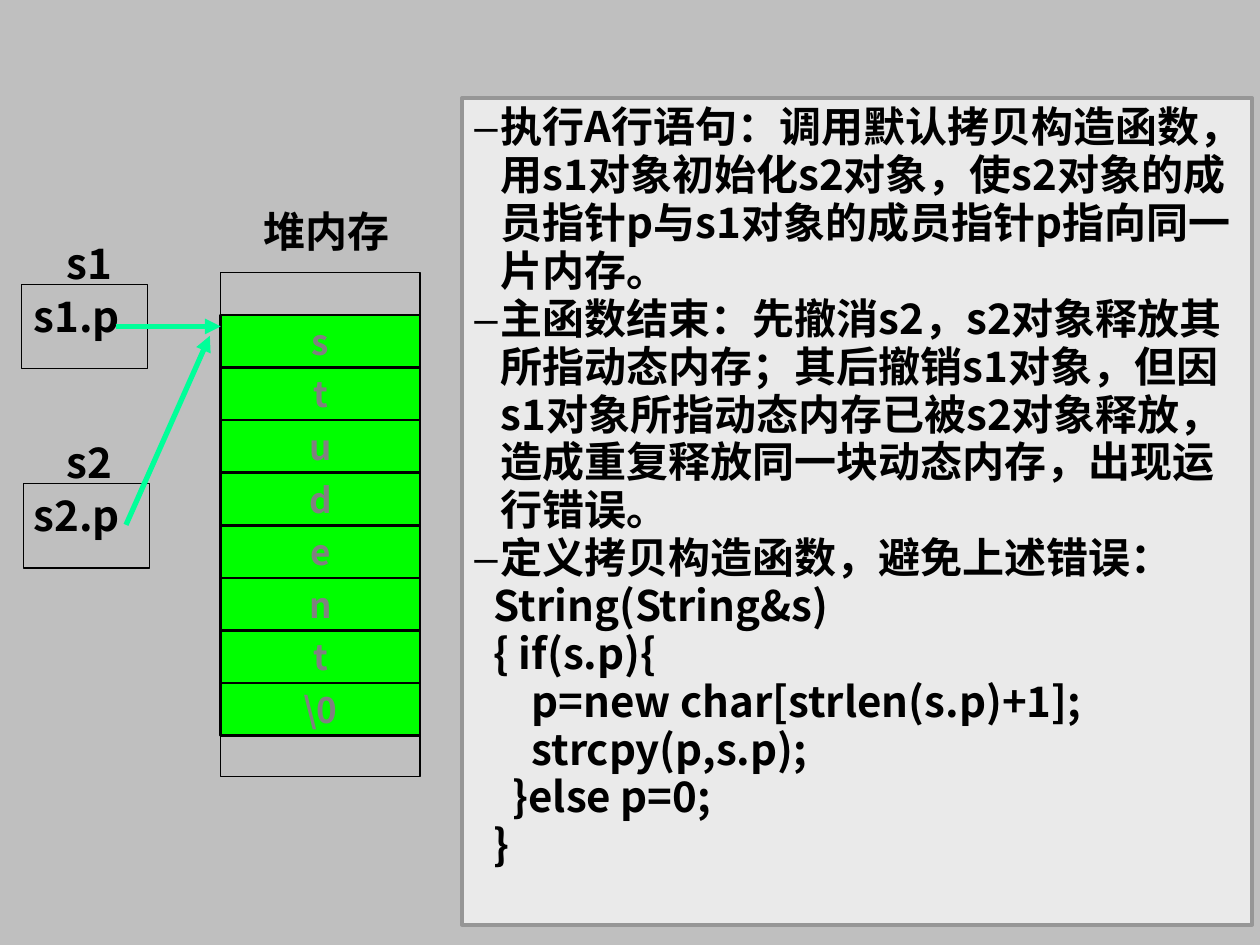
from lxml import etree
from pptx import Presentation
from pptx.dml.color import RGBColor
from pptx.enum.shapes import MSO_CONNECTOR, MSO_SHAPE
from pptx.enum.text import MSO_ANCHOR, MSO_AUTO_SIZE, PP_ALIGN
from pptx.oxml.ns import qn
from pptx.util import Cm, Pt

RECTANGLE = MSO_SHAPE.RECTANGLE
STRAIGHT = MSO_CONNECTOR.STRAIGHT
LEFT, CENTER = PP_ALIGN.LEFT, PP_ALIGN.CENTER
TOP, MIDDLE = MSO_ANCHOR.TOP, MSO_ANCHOR.MIDDLE
NO_AUTOFIT = MSO_AUTO_SIZE.NONE

FONT = "Noto Sans CJK SC"
COLORS = {
    "background": "BFBFBF",
    "panel": "EAEAEA",
    "panel_line": "969696",
    "cell": "00FF00",
    "cell_text": "808080",
    "arrow": "00FF99",
    "black": "000000",
}

HEAP_LEFT, HEAP_WIDTH = 4.45, 4.02
CELL_TOP, CELL_HEIGHT = 6.35, 1.06
HEAP_CELLS = ["s", "t", "u", "d", "e", "n", "t", "\\0"]

EXPLANATIONS = [
    "执行A行语句：调用默认拷贝构造函数，用s1对象初始化s2对象，使s2对象的成员指针p与s1对象的成员指针p指向同一片内存。",
    "主函数结束：先撤消s2，s2对象释放其所指动态内存；其后撤销s1对象，但因s1对象所指动态内存已被s2对象释放，造成重复释放同一块动态内存，出现运行错误。",
    "定义拷贝构造函数，避免上述错误：",
]
CODE_LINES = [
    "  String(String&s)",
    "  { if(s.p){",
    "      p=new char[strlen(s.p)+1];",
    "      strcpy(p,s.p);",
    "    }else p=0;",
    "  }",
]


def color(name):
    return RGBColor.from_string(COLORS[name])


def write(paragraph, text, size=24, text_color="black", align=LEFT):
    paragraph.alignment = align
    run = paragraph.add_run()
    run.text = text
    run.font.size = Pt(size)
    run.font.bold = True
    run.font.color.rgb = color(text_color)
    run.font.name = FONT
    east_asian = etree.SubElement(run._r.get_or_add_rPr(), qn("a:ea"))
    east_asian.set("typeface", FONT)


def set_bullet(paragraph, character=None):
    """Give the paragraph a hanging indent, with a bullet or without one."""
    properties = paragraph._p.get_or_add_pPr()
    indent = Cm(0.53)
    properties.set("marL", str(indent))
    properties.set("indent", str(-indent))
    if character:
        bullet_color = etree.SubElement(properties, qn("a:buClr"))
        etree.SubElement(bullet_color, qn("a:srgbClr")).set("val", COLORS["black"])
        etree.SubElement(properties, qn("a:buChar")).set("char", character)
    else:
        etree.SubElement(properties, qn("a:buNone"))


def add_label(slide, text, left, top, width, align=LEFT):
    box = slide.shapes.add_textbox(Cm(left), Cm(top), Cm(width), Cm(1.27))
    box.text_frame.word_wrap = True
    write(box.text_frame.paragraphs[0], text, align=align)


def add_rectangle(slide, left, top, width, height, fill=None, line_width=0.75):
    shape = slide.shapes.add_shape(RECTANGLE, Cm(left), Cm(top), Cm(width), Cm(height))
    shape.shadow.inherit = False
    if fill:
        shape.fill.solid()
        shape.fill.fore_color.rgb = color(fill)
    else:
        shape.fill.background()
    shape.line.color.rgb = color("black")
    shape.line.width = Pt(line_width)
    return shape


def add_arrow(slide, start_x, start_y, end_x, end_y):
    arrow = slide.shapes.add_connector(
        STRAIGHT, Cm(start_x), Cm(start_y), Cm(end_x), Cm(end_y))
    arrow.line.color.rgb = color("arrow")
    arrow.line.width = Pt(3)
    etree.SubElement(arrow.line._get_or_add_ln(), qn("a:tailEnd")).set("type", "triangle")
    etree.SubElement(arrow._element.spPr, qn("a:effectLst"))


def add_string_object(slide, name, left, top):
    """Draw a String object as a box holding its pointer, with its name above."""
    add_rectangle(slide, left, top, 2.54, 1.7)
    add_label(slide, f"{name}.p", 0.43, top, 2.74)
    add_label(slide, name, 1.1, top - 1.07, 1.9)


def add_heap(slide):
    add_label(slide, "堆内存", 4.14, 4.02, 4.88, align=CENTER)
    add_rectangle(slide, HEAP_LEFT, 5.5, HEAP_WIDTH, 10.16)
    for index, character in enumerate(HEAP_CELLS):
        cell = add_rectangle(slide, HEAP_LEFT, CELL_TOP + index * CELL_HEIGHT,
                             HEAP_WIDTH, CELL_HEIGHT, fill="cell", line_width=1.5)
        cell.text_frame.word_wrap = False
        cell.text_frame.vertical_anchor = MIDDLE
        write(cell.text_frame.paragraphs[0], character, size=20,
              text_color="cell_text", align=CENTER)


def fill_explanation(body):
    body.left, body.top, body.width, body.height = Cm(9.31), Cm(1.98), Cm(15.93), Cm(16.66)
    body.fill.solid()
    body.fill.fore_color.rgb = color("panel")
    body.line.color.rgb = color("panel_line")
    body.line.width = Pt(2.25)
    frame = body.text_frame
    frame.word_wrap = True
    frame.auto_size = NO_AUTOFIT
    frame.vertical_anchor = TOP
    lines = [(text, "–") for text in EXPLANATIONS] + [(text, None) for text in CODE_LINES]
    for index, (text, bullet) in enumerate(lines):
        paragraph = frame.add_paragraph() if index else frame.paragraphs[0]
        set_bullet(paragraph, bullet)
        paragraph.line_spacing = 0.95
        paragraph.space_before = Pt(0)
        write(paragraph, text)


def main():
    presentation = Presentation()
    presentation.slide_width, presentation.slide_height = Cm(25.4), Cm(19.05)
    slide = presentation.slides.add_slide(presentation.slide_layouts[1])
    slide.background.fill.solid()
    slide.background.fill.fore_color.rgb = color("background")
    title = slide.shapes.title
    title._element.getparent().remove(title._element)

    fill_explanation(slide.placeholders[1])
    add_string_object(slide, "s1", 0.43, 5.73)
    add_string_object(slide, "s2", 0.48, 9.75)
    add_heap(slide)
    add_arrow(slide, 2.33, 6.58, HEAP_LEFT, 6.58)
    add_arrow(slide, 2.54, 10.58, 4.23, 6.77)
    presentation.save("out.pptx")


if __name__ == "__main__":
    main()
